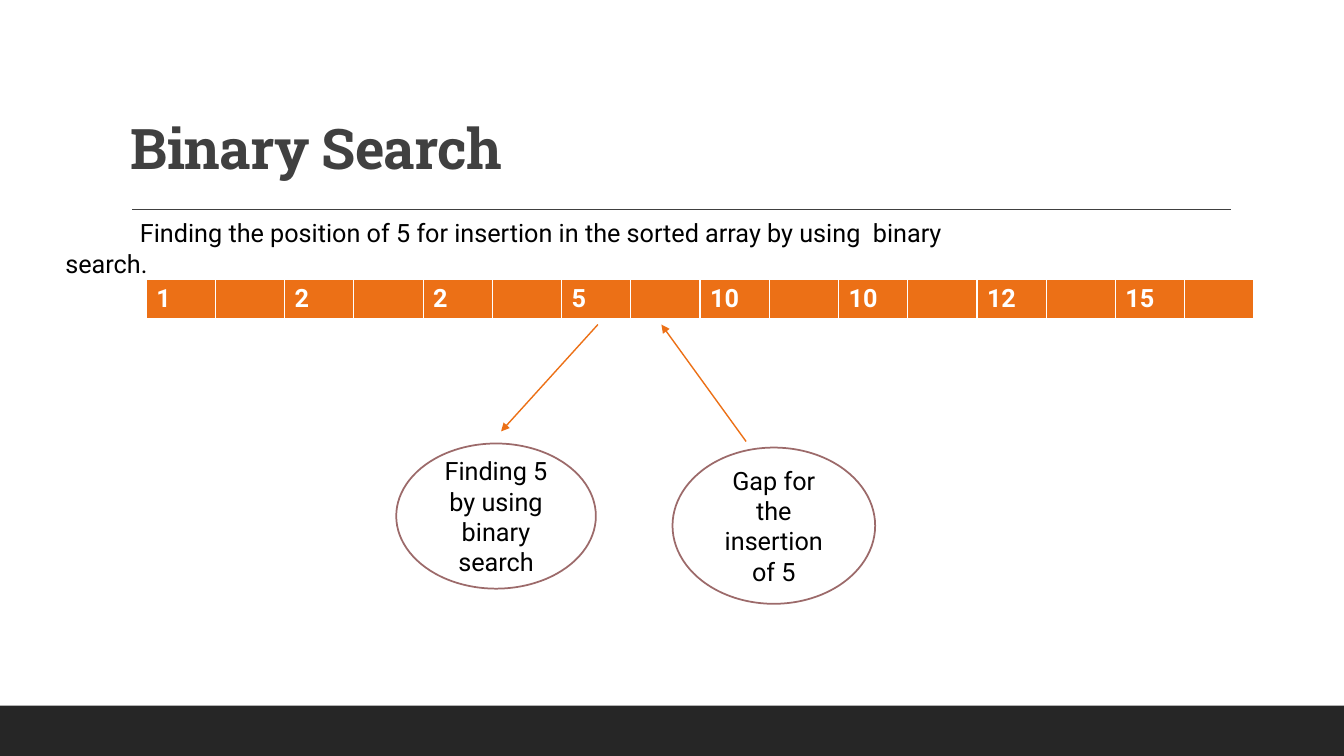
import pptx
import pptx.util
import pptx.dml.color
import pptx.enum.shapes
import pptx.enum.text
import pptx.oxml
import pptx.oxml.ns
import pptx.oxml.xmlchemy

Inches = pptx.util.Inches
Pt = pptx.util.Pt
Anchor = pptx.enum.text.MSO_ANCHOR
Align = pptx.enum.text.PP_ALIGN
Shape = pptx.enum.shapes.MSO_SHAPE

COLORS = {
    "white": "FFFFFF",
    "black": "000000",
    "heading": "404040",
    "footer": "262626",
    "orange": "EC7016",
    "mauve": "9C6A6A",
}
BODY = {"name": "Roboto", "size": Pt(18)}
HEADING = {"name": "Roboto Slab", "size": Pt(40), "bold": True}
CELL = {**BODY, "bold": True}
ARRAY = [1, 2, 2, 5, 10, 10, 12, 15]
BORDERS = {"lnL": 1, "lnR": 1, "lnT": 1, "lnB": 3}


def color(name):
    return pptx.dml.color.RGBColor.from_string(COLORS[name])


def lengths(values):
    return [Inches(value) for value in values]


def apply(target, values):
    for name, value in values.items():
        setattr(target, name, value)


def write(frame, text, font, ink, layout=None):
    para = frame.paragraphs[0]
    apply(para, layout or {})
    span = para.add_run()
    span.text = text
    apply(span.font, font)
    span.font.color.rgb = color(ink)
    return para, span


def add_text(page, place, text, font, ink, anchor=Anchor.TOP, layout=None):
    box = page.shapes.add_textbox(*lengths(place))
    apply(box.text_frame, {"word_wrap": True, "vertical_anchor": anchor})
    return write(box.text_frame, text, font, ink, layout)


def add_title(page):
    para, span = add_text(page, (1.2, 0.26, 11, 1.59), "Binary Search",
                          HEADING, "heading", Anchor.BOTTOM, {"line_spacing": 0.9})
    span._r.get_or_add_rPr().set("spc", "-50")


def add_caption(page):
    para, span = add_text(
        page, (0.55, 2.11, 9.56, 0.71),
        "Finding the position of 5 for insertion in the sorted array by using  binary search.",
        BODY, "black")
    para._p.get_or_add_pPr().set("indent", str(Inches(0.74)))


def add_filled(page, kind, place, fill):
    shape = page.shapes.add_shape(kind, *lengths(place))
    shape.shadow.inherit = False
    shape.fill.solid()
    shape.fill.fore_color.rgb = color(fill)
    shape.line.fill.background()
    return shape


def add_bubble(page, place, text):
    bubble = add_filled(page, Shape.OVAL, place, "white")
    bubble.line.color.rgb = color("mauve")
    bubble.line.width = Pt(1.25)
    apply(bubble.text_frame, {"word_wrap": True, "vertical_anchor": Anchor.MIDDLE})
    write(bubble.text_frame, text, BODY, "black", {"alignment": Align.CENTER})


def add_line(page, ends, ink, arrow=False):
    line = page.shapes.add_connector(
        pptx.enum.shapes.MSO_CONNECTOR.STRAIGHT, *lengths(ends))
    line.line.color.rgb = color(ink)
    line.line.width = Pt(1)
    if arrow:
        tip = pptx.oxml.xmlchemy.OxmlElement("a:tailEnd")
        tip.set("type", "triangle")
        line.line._get_or_add_ln().append(tip)
    line._element.spPr.append(pptx.oxml.xmlchemy.OxmlElement("a:effectLst"))


def border_cell(cell):
    properties = cell._tc.get_or_add_tcPr()
    for index, (side, width) in enumerate(BORDERS.items()):
        border = pptx.oxml.parse_xml(
            f'<a:{side} {pptx.oxml.ns.nsdecls("a")} w="{Pt(width)}"><a:solidFill>'
            f'<a:srgbClr val="{COLORS["white"]}"/></a:solidFill></a:{side}>')
        properties.insert(index, border)


def add_array(page):
    count = 2 * len(ARRAY)
    place = lengths((1.45, 2.77, 10.99, 0.36))
    table = page.shapes.add_table(1, count, *place).table
    for index, column in enumerate(table.columns):
        column.width = int(place[2] / count)
        cell = table.cell(0, index)
        cell.fill.solid()
        cell.fill.fore_color.rgb = color("orange")
        border_cell(cell)
        if index % 2 == 0:
            write(cell.text_frame, str(ARRAY[index // 2]), CELL, "white")


def main():
    deck = pptx.Presentation()
    apply(deck, {"slide_width": Inches(13.33), "slide_height": Inches(7.5)})
    page = deck.slides.add_slide(deck.slide_layouts[6])
    add_filled(page, Shape.RECTANGLE, (0, 7, 13.33, 0.5), "footer")
    add_line(page, (1.31, 2.08, 12.21, 2.08), "heading")
    add_title(page)
    add_line(page, (7.4, 4.38, 6.56, 3.22), "orange", arrow=True)
    add_bubble(page, (6.67, 4.44, 2.01, 1.55), "Gap for the insertion of 5")
    add_caption(page)
    add_line(page, (5.93, 3.22, 4.97, 4.28), "orange", arrow=True)
    add_bubble(page, (3.93, 4.4, 1.98, 1.44), "Finding 5 by using binary search")
    add_array(page)
    deck.save("out.pptx")


if __name__ == "__main__":
    main()
